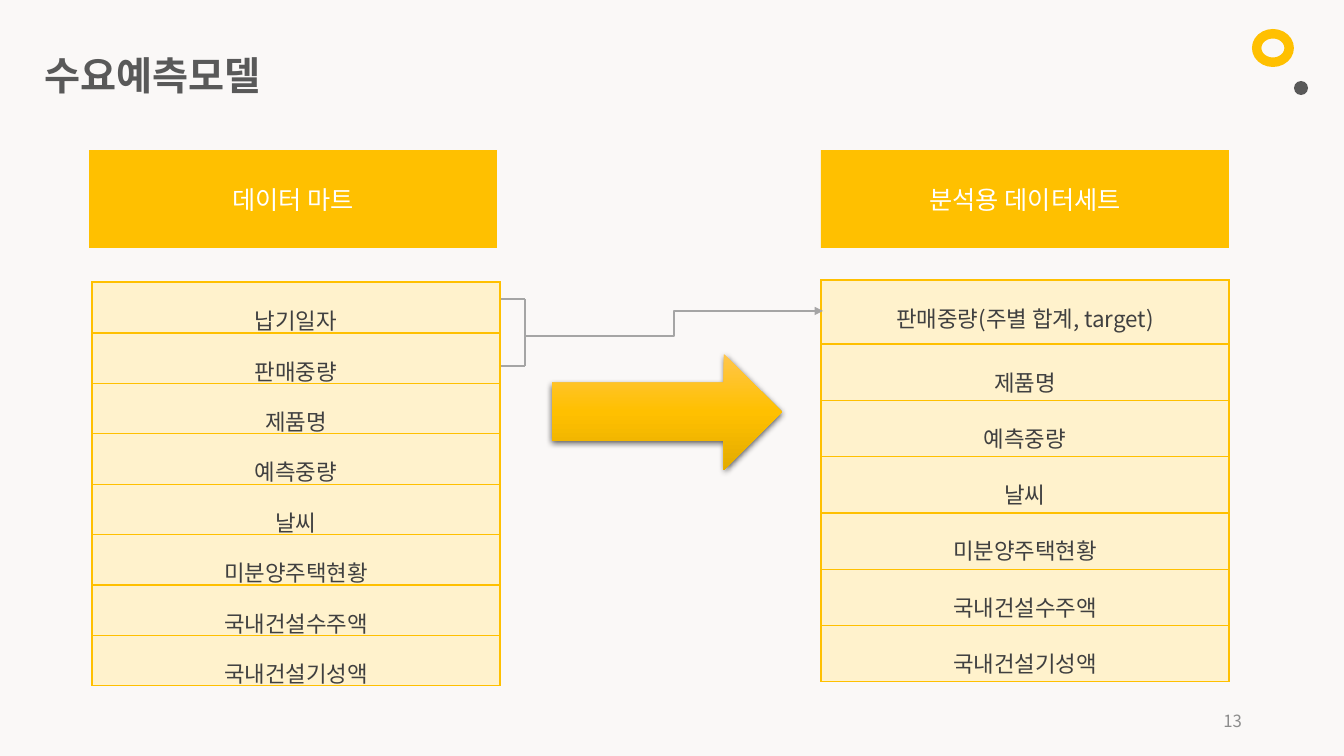
from pptx import Presentation, util as u
from pptx.dml.color import RGBColor
from pptx.enum import shapes, text
from pptx.oxml import parse_xml
from pptx.oxml.ns import qn
from lxml import etree

PX = 914400 / 100.8
FONT = "Noto Sans CJK KR"
NS = 'xmlns:a="http://schemas.openxmlformats.org/drawingml/2006/main"'
GOLD = RGBColor(0xFF, 0xC0, 0x00)
CREAM = RGBColor(0xFF, 0xF2, 0xCC)
PAPER = RGBColor(0xFA, 0xF8, 0xF7)
WHITE = RGBColor(0xFF, 0xFF, 0xFF)
PALE = RGBColor(0xD9, 0xD9, 0xD9)
SILVER = RGBColor(0xBF, 0xBF, 0xBF)
GRAY = RGBColor(0xA5, 0xA5, 0xA5)
ASH = RGBColor(0x8C, 0x8C, 0x8C)
SLATE = RGBColor(0x59, 0x59, 0x59)
INK = RGBColor(0x40, 0x40, 0x40)
KIND = shapes.MSO_SHAPE
ALIGN = text.PP_ALIGN
MART = ["납기일자", "판매중량", "제품명", "예측중량", "날씨",
        "미분양주택현황", "국내건설수주액", "국내건설기성액"]
SET = ["판매중량(주별 합계, target)"] + MART[2:]


def px(n):
    return u.Emu(round(n * PX))


def write(frame, words, size, color, align, bold=False):
    frame.text = words
    para = frame.paragraphs[0]
    para.alignment = align
    font = para.runs[0].font
    font.name, font.size, font.bold = FONT, u.Pt(size), bold
    font.color.rgb = color
    etree.SubElement(font._element, qn("a:ea")).set("typeface", FONT)
    return para


def draw(slide, kind, box, color):
    part = slide.shapes.add_shape(kind, *map(px, box))
    part.shadow.inherit = False
    part.fill.solid()
    part.fill.fore_color.rgb = color
    part.line.fill.background()
    return part


def label(slide, box, words, size, color, align, bold=False, wrap=True):
    frame = slide.shapes.add_textbox(*map(px, box)).text_frame
    frame.word_wrap = wrap
    frame.vertical_anchor = text.MSO_ANCHOR.MIDDLE
    write(frame, words, size, color, align, bold)


def arc(slide, box, turn, start, end, thick, color):
    part = draw(slide, KIND.BLOCK_ARC, box, color)
    part.rotation = turn
    for i, val in enumerate((start * 0.6, end * 0.6, thick)):
        part.adjustments[i] = val
    return part


def decor(slide):
    low = arc(slide, (1243, 657, 159, 169), 318.8, 123.67, 202.05, 0.18, SILVER)
    tint = low.fill._xPr.find(qn("a:solidFill"))[0]
    etree.SubElement(tint, qn("a:alpha")).set("val", "82000")
    arc(slide, (-261, -287, 543, 574), 137.9, 132.71, 189.1, 0.1, PALE)


def dots(slide, x, y):
    draw(slide, KIND.DONUT, (x, y, 42, 38), GOLD)
    draw(slide, KIND.OVAL, (x + 42, y + 52, 14, 14), SLATE)


def edge(cell):
    props = cell._tc.get_or_add_tcPr()
    for i, side in enumerate(("lnL", "lnR", "lnT", "lnB")):
        props.insert(i, parse_xml(
            f'<a:{side} {NS} w="12700"><a:solidFill><a:srgbClr val="{GOLD}"/>'
            f'</a:solidFill></a:{side}>'))


def head(slide, box, words):
    part = draw(slide, KIND.RECTANGLE, box, GOLD)
    part.text_frame.vertical_anchor = text.MSO_ANCHOR.MIDDLE
    write(part.text_frame, words, 18, WHITE, ALIGN.CENTER)


def grid(slide, box, names, first):
    x, y, w, h = box
    table = slide.shapes.add_table(len(names), 1, *map(px, box)).table
    table.first_row = table.horz_banding = False
    rest = (h - first) / (len(names) - 1)
    for i, name in enumerate(names):
        table.rows[i].height = px(rest if i else first)
        cell = table.cell(i, 0)
        cell.fill.solid()
        cell.fill.fore_color.rgb = CREAM
        para = write(cell.text_frame, name, 16, INK, ALIGN.CENTER)
        para.line_spacing = 1.5
        edge(cell)


def arrow(slide, box):
    part = draw(slide, KIND.RIGHT_ARROW, box, GOLD)
    props = part._element.spPr
    stops = "".join(
        f'<a:gs pos="{pos}"><a:srgbClr val="{val}"/></a:gs>'
        for pos, val in ((0, "FFC64B"), (50000, GOLD), (100000, "E3AB00")))
    props.replace(props.find(qn("a:solidFill")), parse_xml(
        f'<a:gradFill {NS}><a:gsLst>{stops}</a:gsLst><a:lin ang="5400000"/></a:gradFill>'))
    props.find(qn("a:effectLst")).append(parse_xml(
        f'<a:outerShdw {NS} blurRad="57150" dist="19050" dir="5400000">'
        '<a:srgbClr val="000000"><a:alpha val="63000"/></a:srgbClr></a:outerShdw>'))


def wire(slide, kind, ends):
    line = slide.shapes.add_connector(kind, *map(px, ends))
    line.line.color.rgb = GRAY
    line.line.width = u.Pt(1.5)
    etree.SubElement(line._element.spPr, qn("a:effectLst"))
    return line


def link(slide, x, y, w, h):
    straight, bent = shapes.MSO_CONNECTOR.STRAIGHT, shapes.MSO_CONNECTOR.ELBOW
    for level in (y, y + h):
        wire(slide, straight, (x, level, x + w, level))
    wire(slide, straight, (x + w, y + h, x + w, y))
    join = wire(slide, bent, (x + w, 336, 823, 311))
    tip = etree.SubElement(join.line._get_or_add_ln(), qn("a:tailEnd"))
    tip.set("type", "triangle")


def build(slide):
    slide.background.fill.solid()
    slide.background.fill.fore_color.rgb = PAPER
    decor(slide)
    label(slide, (950, 701, 302, 40), "13", 12, ASH, ALIGN.RIGHT)
    label(slide, (35, 46, 258, 58), "수요예측모델", 28, SLATE, ALIGN.LEFT, True, False)
    head(slide, (89, 150, 408, 98), "데이터 마트")
    grid(slide, (92, 282, 408, 402), MART, 51)
    head(slide, (821, 150, 408, 98), "분석용 데이터세트")
    grid(slide, (821, 280, 408, 402), SET, 64)
    arrow(slide, (552, 354, 230, 116))
    link(slide, 501, 299, 24, 67)
    dots(slide, 1252, 29)


def main():
    deck = Presentation()
    deck.slide_width, deck.slide_height = px(1344), px(756)
    build(deck.slides.add_slide(deck.slide_layouts[6]))
    deck.save("out.pptx")


if __name__ == "__main__":
    main()
